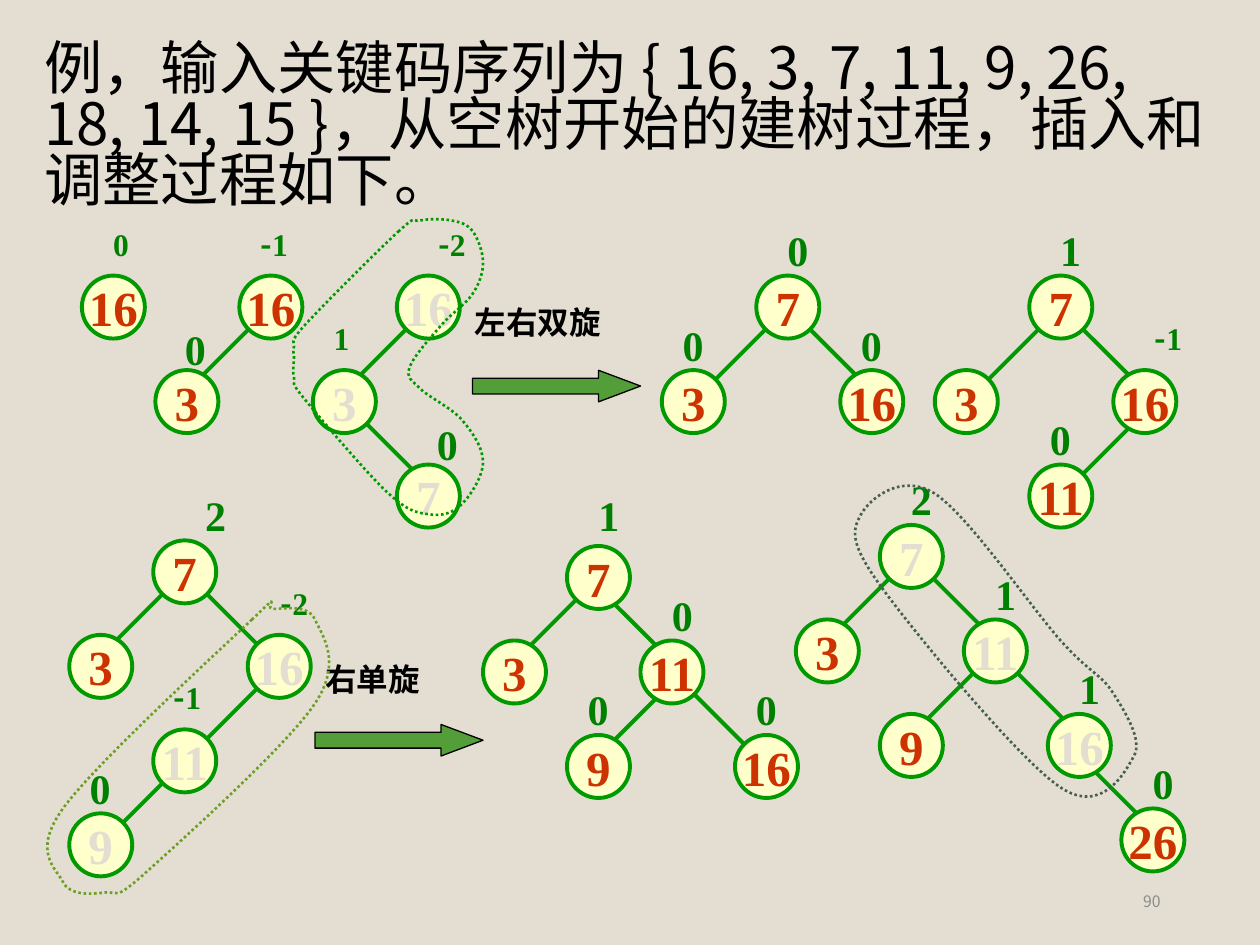
from dataclasses import dataclass, field

from lxml.etree import SubElement
from pptx import Presentation
from pptx.dml.color import RGBColor
from pptx.enum.dml import MSO_LINE
from pptx.enum.shapes import MSO_CONNECTOR, MSO_SHAPE
from pptx.enum.text import MSO_ANCHOR, MSO_AUTO_SIZE, PP_ALIGN
from pptx.oxml.ns import qn
from pptx.util import Pt

SERIF, SANS = "Times New Roman", "Noto Sans CJK SC"
BACKGROUND, BRANCH, BALANCE_INK = "E3DED1", "009900", "008000"
DIAMETER = 36
ROW = (157.5, 211.5, 265.5)


@dataclass
class Node:
    key: int
    left: float
    top: float
    rotated: bool = False


@dataclass
class Edge:
    parent: int
    child: int
    offset: float = 12
    length: float = 30


@dataclass
class Balance:
    value: str
    left: float
    top: float
    size: float = 24


@dataclass
class Tree:
    nodes: list[Node]
    balances: list[Balance]
    edges: list[Edge] = field(default_factory=list)


@dataclass
class Rotation:
    caption: str
    caption_box: tuple[float, float, float, float]
    arrow_left: float
    arrow_top: float


@dataclass
class Outline:
    colour: str
    knots: list[tuple[float, float]]


TREES = [
    Tree([Node(16, 46.8, ROW[0])], [Balance("0", 57.6, 124.9, 18)]),
    Tree([Node(16, 136.8, ROW[0]), Node(3, 88.8, ROW[1])],
         [Balance("-1", 141.8, 124.9, 18), Balance("0", 98.6, 181.4)],
         [Edge(0, 1)]),
    Tree([Node(16, 226.8, ROW[0], True), Node(3, 178.8, ROW[1], True), Node(7, 226.8, ROW[2], True)],
         [Balance("-2", 243.4, 124.9, 18), Balance("1", 183.6, 178.8, 18), Balance("0", 242.6, 235.4)],
         [Edge(0, 1), Edge(1, 2)]),
    Tree([Node(7, 432.2, ROW[0]), Node(3, 378.2, ROW[1]), Node(16, 480.2, ROW[1])],
         [Balance("0", 442.8, 124.5), Balance("0", 383, 178.8), Balance("0", 484.8, 178.8)],
         [Edge(0, 1), Edge(0, 2)]),
    Tree([Node(7, 588.2, ROW[0]), Node(3, 534.2, ROW[1]), Node(16, 636.2, ROW[1]), Node(11, 588.2, ROW[2])],
         [Balance("1", 598.8, 124.5), Balance("-1", 652.8, 178.8, 18), Balance("0", 592.8, 232.6)],
         [Edge(0, 1), Edge(0, 2), Edge(2, 3, offset=6)]),
    Tree([Node(7, 87.6, 308.8), Node(3, 39.6, 362.8), Node(16, 141.6, 362.8, True),
          Node(11, 87.6, 416.8, True), Node(9, 39.6, 464.8, True)],
         [Balance("2", 110.2, 276), Balance("-2", 153.4, 330, 18),
          Balance("-1", 92.2, 383.8, 18), Balance("0", 44.2, 432)],
         [Edge(0, 1), Edge(0, 2), Edge(2, 3, length=36), Edge(3, 4, length=36)]),
    Tree([Node(7, 324, 312), Node(3, 276, 366), Node(11, 366, 366),
          Node(9, 324, 420), Node(16, 420, 420)],
         [Balance("1", 334.8, 276), Balance("0", 376.8, 333.2),
          Balance("0", 328.8, 387.2), Balance("0", 424.8, 387.2)],
         [Edge(0, 1), Edge(0, 2, offset=6), Edge(2, 3, offset=6, length=36), Edge(2, 4, length=36)]),
    Tree([Node(7, 502.8, 300), Node(3, 454.8, 354), Node(11, 550.8, 354, True),
          Node(9, 502.8, 408), Node(16, 598.8, 408, True), Node(26, 640.8, 462)],
         [Balance("2", 513.4, 267.1), Balance("1", 561.6, 321.1),
          Balance("1", 609.6, 375.1), Balance("0", 651.6, 429.1)],
         [Edge(0, 1), Edge(0, 2), Edge(2, 3, length=36), Edge(2, 4), Edge(4, 5, offset=6, length=36)]),
]
TREES[-1].nodes[0].rotated = True
ROTATIONS = [
    Rotation("左右双旋", (264.3, 169.9, 111.6, 36), 270, 211.6),
    Rotation("右单旋", (178.8, 373.7, 87.1, 36), 180, 414),
]
OUTLINES = [
    Outline(BRANCH, [(228, 132), (174, 186), (168, 198), (168, 204), (168, 216), (174, 228),
                     (222, 282), (246, 294), (264, 288), (276, 264), (264, 240), (240, 222),
                     (234, 210), (252, 186), (270, 168), (276, 150), (270, 132), (258, 126), (240, 126)]),
    Outline("6B9F25", [(144, 354), (36, 462), (36, 504), (60, 510), (84, 498),
                       (180, 402), (180, 354), (156, 348)]),
    Outline("455F51", [(504, 336), (606, 450), (648, 432), (636, 396),
                       (606, 366), (534, 282), (492, 294)]),
]


def colour(hex_value: str) -> RGBColor:
    return RGBColor.from_string(hex_value)


def style(paragraph, size: float, ink: str, face: str | None = None, bold: bool = True) -> None:
    font = paragraph.font
    font.size, font.bold, font.name = Pt(size), bold, face
    font.color.rgb = colour(ink)


def paint(shape, line: str, width: float, fill: str | None = None) -> None:
    shape.shadow.inherit = False
    if fill:
        shape.fill.solid()
        shape.fill.fore_color.rgb = colour(fill)
    else:
        shape.fill.background()
    shape.line.color.rgb = colour(line)
    shape.line.width = Pt(width)


def add_label(slide, left: float, top: float, width: float, height: float, wrap: bool = False):
    frame = slide.shapes.add_textbox(Pt(left), Pt(top), Pt(width), Pt(height)).text_frame
    frame.word_wrap = wrap
    frame.auto_size = MSO_AUTO_SIZE.NONE if wrap else MSO_AUTO_SIZE.SHAPE_TO_FIT_TEXT
    return frame


def draw_edge(slide, parent: Node, child: Node, edge: Edge) -> None:
    side = 1 if child.left > parent.left else -1
    x = parent.left + DIAMETER / 2 + side * edge.offset
    y = parent.top + DIAMETER / 2 + 12
    branch = slide.shapes.add_connector(
        MSO_CONNECTOR.STRAIGHT, Pt(x), Pt(y), Pt(x + side * edge.length), Pt(y + edge.length))
    branch.line.color.rgb = colour(BRANCH)
    branch.line.width = Pt(2.25)
    SubElement(branch._element.spPr, qn("a:effectLst"))


def draw_node(slide, node: Node) -> None:
    circle = slide.shapes.add_shape(
        MSO_SHAPE.OVAL, Pt(node.left), Pt(node.top), Pt(DIAMETER), Pt(DIAMETER))
    paint(circle, BRANCH, 2.25, "FFFFCC")
    frame = circle.text_frame
    frame.word_wrap = False
    frame.vertical_anchor = MSO_ANCHOR.MIDDLE
    paragraph = frame.paragraphs[0]
    paragraph.text = str(node.key)
    paragraph.alignment = PP_ALIGN.CENTER
    style(paragraph, 28, BACKGROUND if node.rotated else "CC3300", SERIF)


def draw_balance(slide, balance: Balance) -> None:
    width = 26.6 if len(balance.value) == 1 else 38.2
    paragraph = add_label(slide, balance.left, balance.top, width, 36).paragraphs[0]
    style(paragraph, balance.size, BALANCE_INK)
    for character in balance.value:
        run = paragraph.add_run()
        run.text = character
        run.font.name = SANS if character == "-" else SERIF


def draw_tree(slide, tree: Tree) -> None:
    for edge in tree.edges:
        draw_edge(slide, tree.nodes[edge.parent], tree.nodes[edge.child], edge)
    for node in tree.nodes:
        draw_node(slide, node)
    for balance in tree.balances:
        draw_balance(slide, balance)


def draw_rotation(slide, rotation: Rotation) -> None:
    arrow = slide.shapes.add_shape(
        MSO_SHAPE.RIGHT_ARROW, Pt(rotation.arrow_left), Pt(rotation.arrow_top), Pt(96), Pt(18))
    arrow.adjustments[1] = 1.33
    paint(arrow, "000000", 0.75, "549E39")
    paragraph = add_label(slide, *rotation.caption_box).paragraphs[0]
    paragraph.text = rotation.caption
    style(paragraph, 18, "000000", SERIF)


def curve_points(knots: list[tuple[float, float]]) -> list[tuple[int, int]]:
    points = []
    for i in range(len(knots)):
        before, start, end, after = (knots[(i + k) % len(knots)] for k in (-1, 0, 1, 2))
        leaving = [b + (c - a) / 6 for a, b, c in zip(before, start, end)]
        arriving = [c - (d - b) / 6 for b, c, d in zip(start, end, after)]
        points += [(Pt(x), Pt(y)) for x, y in (leaving, arriving, end)]
    return points


def draw_outline(slide, outline: Outline) -> None:
    left, top = outline.knots[0]
    builder = slide.shapes.build_freeform(Pt(left), Pt(top))
    builder.add_line_segments(curve_points(outline.knots), close=True)
    loop = builder.convert_to_shape()
    segments = list(loop._element.iter(qn("a:lnTo")))
    for first, second, third in zip(segments[::3], segments[1::3], segments[2::3]):
        first.tag = qn("a:cubicBezTo")
        for segment in (second, third):
            first.append(segment[0])
            segment.getparent().remove(segment)
    paint(loop, outline.colour, 1.5)
    loop.line.dash_style = MSO_LINE.ROUND_DOT


def main() -> None:
    deck = Presentation()
    deck.slide_width, deck.slide_height = Pt(720), Pt(540)
    slide = deck.slides.add_slide(deck.slide_layouts[6])
    slide.background.fill.solid()
    slide.background.fill.fore_color.rgb = colour(BACKGROUND)

    for tree in TREES:
        draw_tree(slide, tree)
    for rotation in ROTATIONS:
        draw_rotation(slide, rotation)
    for outline in OUTLINES:
        draw_outline(slide, outline)

    task = add_label(slide, 18.2, 22, 681.8, 102.2, wrap=True).paragraphs[0]
    task.text = ("例，输入关键码序列为 { 16, 3, 7, 11, 9, 26, 18, 14, 15 }，"
                 "从空树开始的建树过程，插入和调整过程如下。")
    task.line_spacing = 0.8
    style(task, 33.3, "000000", SANS, bold=False)

    footer = add_label(slide, 508.3, 500.4, 162, 28.8, wrap=True)
    footer.vertical_anchor = MSO_ANCHOR.MIDDLE
    page_number = footer.paragraphs[0]
    page_number.text = "90"
    page_number.alignment = PP_ALIGN.RIGHT
    style(page_number, 9, "8C8C8C", SANS, bold=False)

    deck.save("out.pptx")


if __name__ == "__main__":
    main()
